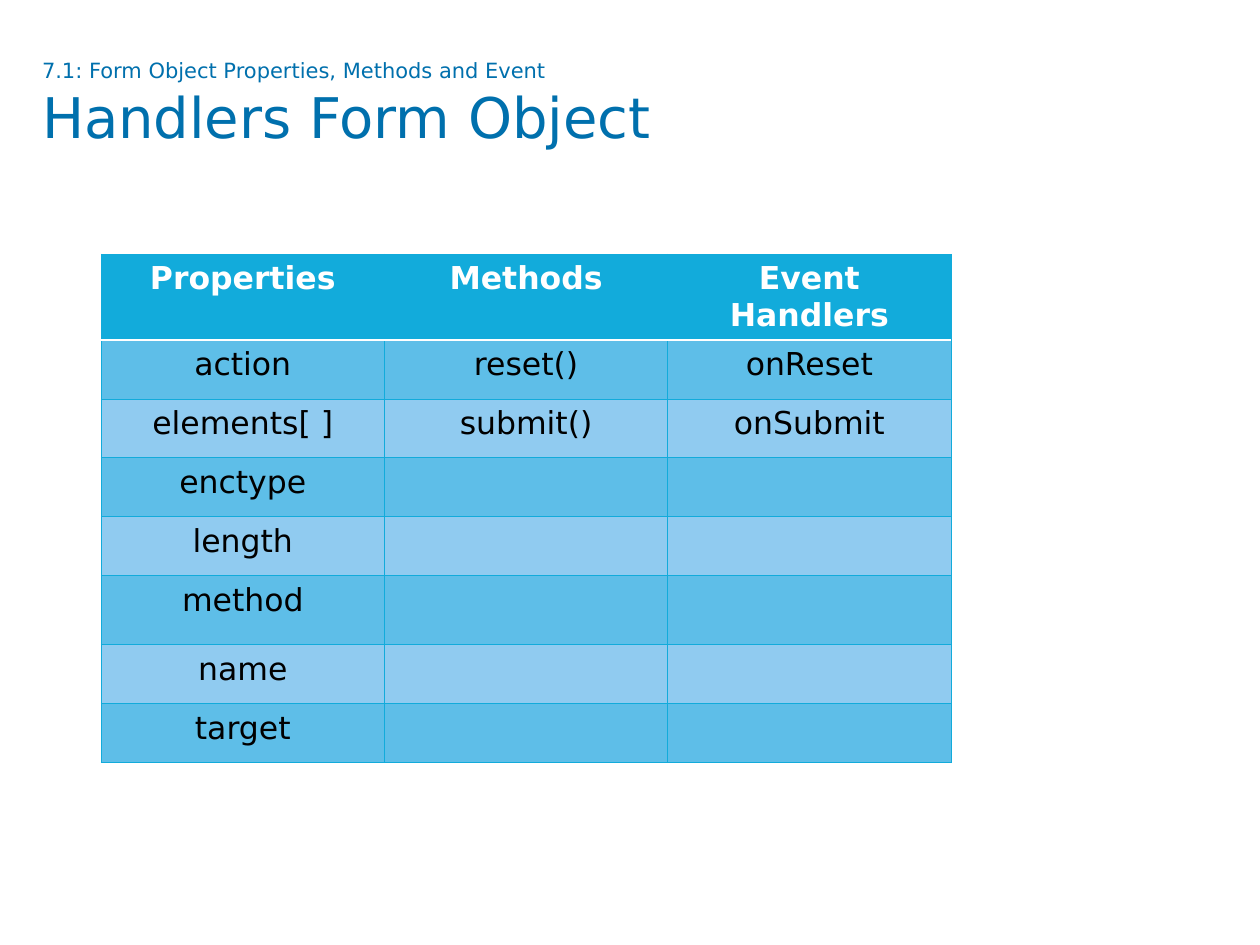
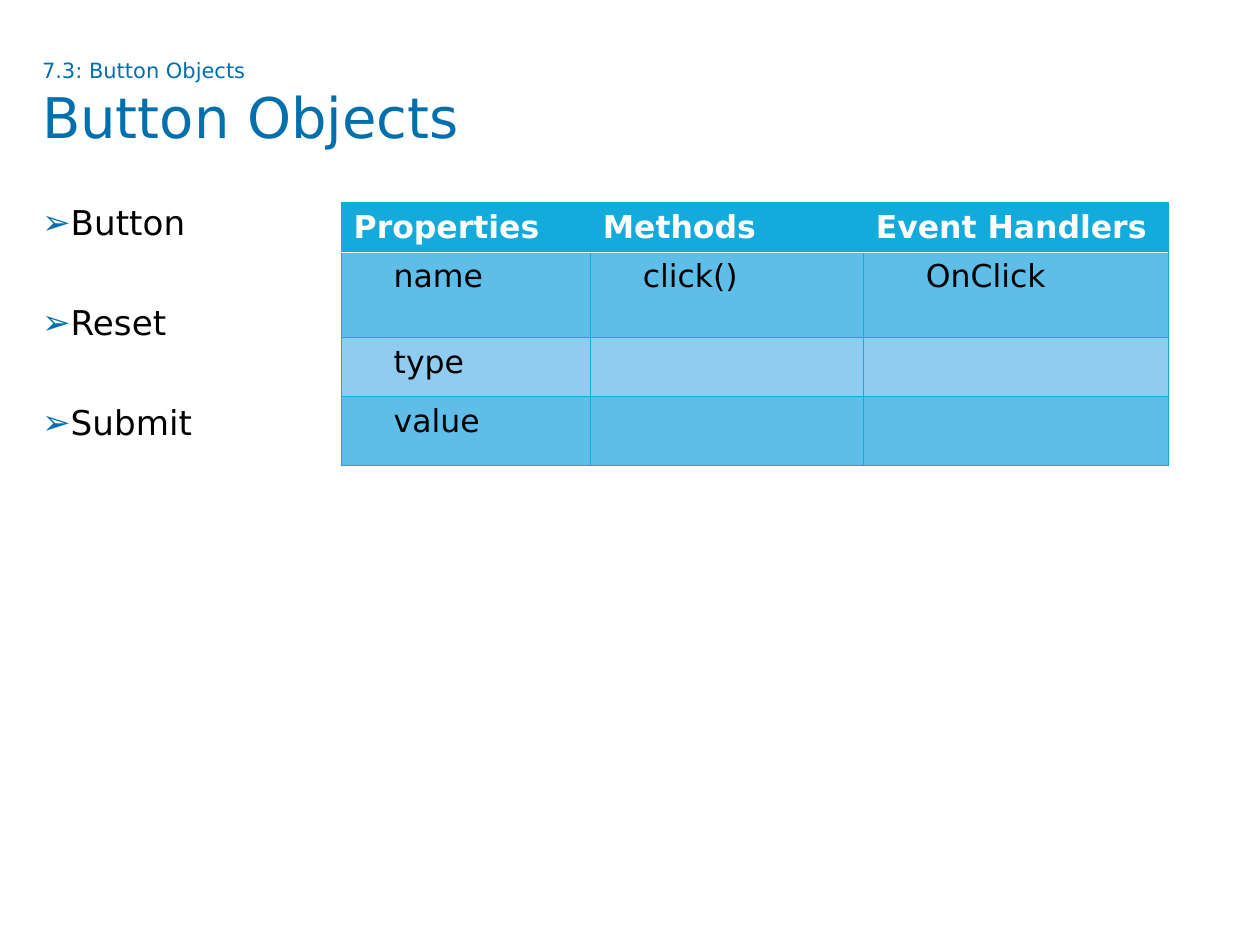
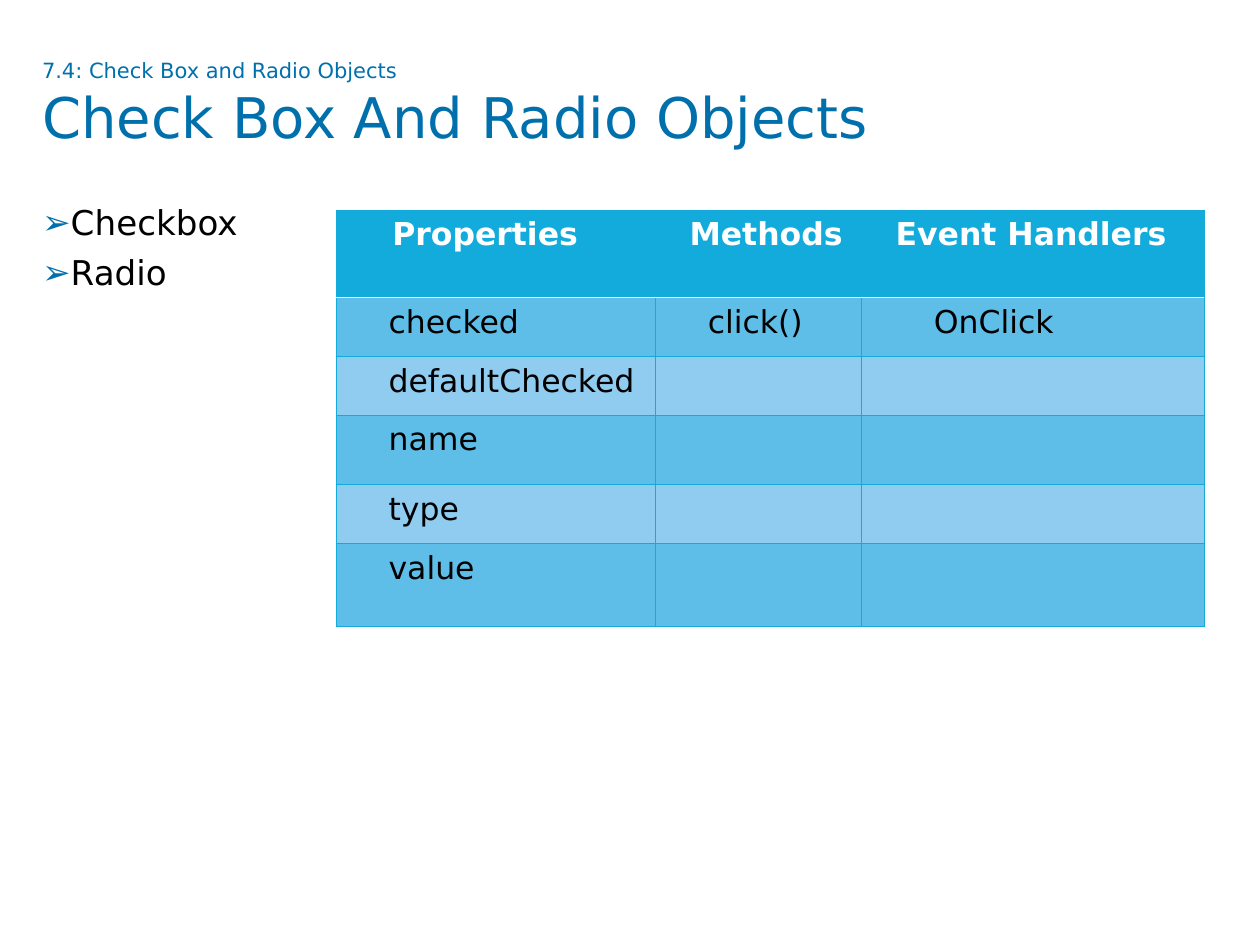
from dataclasses import dataclass

from lxml import etree
from pptx import Presentation
from pptx.dml.color import RGBColor
from pptx.enum import text as t
from pptx.oxml import ns
from pptx.util import Pt

# Shared style
FONT = "DejaVu Sans"
COLORS = {
    "title": "0070AD",
    "text": "000000",
    "white": "FFFFFF",
    "header": "12ABDB",
    "dark_band": "5EBEE8",
    "light_band": "90CBF0",
}
TITLE_ONLY = 5
CELL_MARGIN = 7.2
HEADINGS = ("Properties", "Methods", "Event Handlers")


@dataclass
class MemberTable:
    left: float
    top: float
    widths: tuple[float, ...]
    heights: tuple[float, ...]
    rows: list[tuple[str, ...]]
    heading_indents: tuple[float, ...] = (0, 0, 0)
    indents: tuple[float, ...] = (0, 0, 0)
    align: t.PP_ALIGN = t.PP_ALIGN.LEFT


@dataclass
class Topic:
    section: str
    title: str
    members: MemberTable
    bullets: tuple[str, ...] = ()
    bullet_gap: float = 0


TOPICS = [
    Topic(
        "7.1: Form Object Properties, Methods and Event",
        "Handlers Form Object",
        MemberTable(
            57.8, 145.3, (161.9,) * 3,
            (49, 33.65, 33.65, 33.65, 33.65, 39.6, 33.65, 33.65),
            [("action", "reset()", "onReset"),
             ("elements[ ]", "submit()", "onSubmit"),
             ("enctype",), ("length",), ("method",), ("name",), ("target",)],
            align=t.PP_ALIGN.CENTER,
        ),
    ),
    Topic(
        "7.3: Button Objects",
        "Button Objects",
        MemberTable(
            194.9, 115.9, (142.4, 156, 174.2), (28.3, 48.8, 33.7, 39.4),
            [("name", "click()", "OnClick"), ("type",), ("value",)],
            indents=(22.9, 22.9, 28.6),
        ),
        ("Button", "Reset", "Submit"),
        bullet_gap=28.5,
    ),
    Topic(
        "7.4: Check Box and Radio Objects",
        "Check Box And Radio Objects",
        MemberTable(
            192, 120.1, (182.4, 117.8, 195.8),
            (50, 33.7, 33.7, 39.5, 33.7, 47.2),
            [("checked", "click()", "OnClick"),
             ("defaultChecked",), ("name",), ("type",), ("value",)],
            heading_indents=(25, 12.5, 12.5),
            indents=(22.9, 22.9, 34.3),
        ),
        ("Checkbox", "Radio"),
    ),
]


def style_font(font, size: float, color: str, bold: bool = False) -> None:
    font.name, font.size, font.bold = FONT, Pt(size), bold
    font.color.rgb = RGBColor.from_string(COLORS[color])


def clear_margins(frame) -> None:
    frame.margin_left = frame.margin_right = 0
    frame.margin_top = frame.margin_bottom = 0
    frame.word_wrap = True
    frame.auto_size = t.MSO_AUTO_SIZE.NONE
    frame.vertical_anchor = t.MSO_ANCHOR.TOP


def add_color(parent, color: str) -> None:
    etree.SubElement(parent, ns.qn("a:srgbClr"), val=COLORS[color])


def add_title(slide, topic: Topic) -> None:
    heading = slide.shapes.title
    heading.left, heading.top = Pt(24), Pt(32.7)
    heading.width, heading.height = Pt(672), Pt(67.7)
    clear_margins(heading.text_frame)
    paragraph = heading.text_frame.paragraphs[0]
    paragraph.alignment = t.PP_ALIGN.LEFT
    style_font(paragraph.font, 32, "title")
    section = paragraph.add_run()
    section.text = topic.section
    section.font.size = Pt(12)
    paragraph.add_line_break()
    paragraph.add_run().text = topic.title


def add_bullets(slide, topic: Topic) -> None:
    box = slide.shapes.add_textbox(Pt(24), Pt(117.8), Pt(672), Pt(365.8))
    frame = box.text_frame
    clear_margins(frame)
    for index, item in enumerate(topic.bullets):
        paragraph = frame.paragraphs[0] if index == 0 else frame.add_paragraph()
        paragraph.text = item
        paragraph.alignment = t.PP_ALIGN.JUSTIFY
        paragraph.line_spacing = 0.9
        paragraph.space_before = Pt(7.5)
        paragraph.space_after = Pt(topic.bullet_gap)
        style_font(paragraph.font, 19.5, "text")
        # Arrow bullet with a hanging indent, placed ahead of the font defaults
        props = paragraph.font._element.getparent()
        props.set("marL", str(Pt(16.4)))
        props.set("indent", str(-Pt(16.4)))
        bullet_color = etree.Element(ns.qn("a:buClr"))
        add_color(bullet_color, "title")
        bullet_font = etree.Element(ns.qn("a:buFont"), typeface=FONT)
        bullet = etree.Element(ns.qn("a:buChar"), char="➢")
        defaults = props.find(ns.qn("a:defRPr"))
        for part in (bullet_color, bullet_font, bullet):
            defaults.addprevious(part)


def set_borders(cell, row: int) -> None:
    props = cell._tc.get_or_add_tcPr()
    white_side = {0: "B", 1: "T"}.get(row)
    for side in "LRTB":
        white = side == white_side
        line = etree.SubElement(props, ns.qn(f"a:ln{side}"),
                                w=str(Pt(1 if white else 0.5)))
        fill = etree.SubElement(line, ns.qn("a:solidFill"))
        add_color(fill, "white" if white else "header")


def add_members(slide, members: MemberTable) -> None:
    table = slide.shapes.add_table(
        len(members.heights), len(members.widths),
        Pt(members.left), Pt(members.top),
        Pt(sum(members.widths)), Pt(sum(members.heights))).table
    table.first_row = table.horz_banding = False
    for column, width in zip(table.columns, members.widths):
        column.width = Pt(width)
    for row, height in zip(table.rows, members.heights):
        row.height = Pt(height)

    for row, names in enumerate([HEADINGS, *members.rows]):
        is_header = row == 0
        band = "header" if is_header else "dark_band" if row % 2 else "light_band"
        indents = members.heading_indents if is_header else members.indents
        for column, indent in enumerate(indents):
            cell = table.cell(row, column)
            set_borders(cell, row)
            cell.fill.solid()
            cell.fill.fore_color.rgb = RGBColor.from_string(COLORS[band])
            cell.margin_left = Pt(CELL_MARGIN + indent)
            if column < len(names):
                cell.text = names[column]
                paragraph = cell.text_frame.paragraphs[0]
                paragraph.alignment = members.align
                style_font(paragraph.font, 18,
                           "white" if is_header else "text", is_header)


def main() -> None:
    deck = Presentation()
    deck.slide_width, deck.slide_height = Pt(720), Pt(540)
    for topic in TOPICS:
        slide = deck.slides.add_slide(deck.slide_layouts[TITLE_ONLY])
        add_title(slide, topic)
        if topic.bullets:
            add_bullets(slide, topic)
        add_members(slide, topic.members)
    deck.save("out.pptx")


if __name__ == "__main__":
    main()
